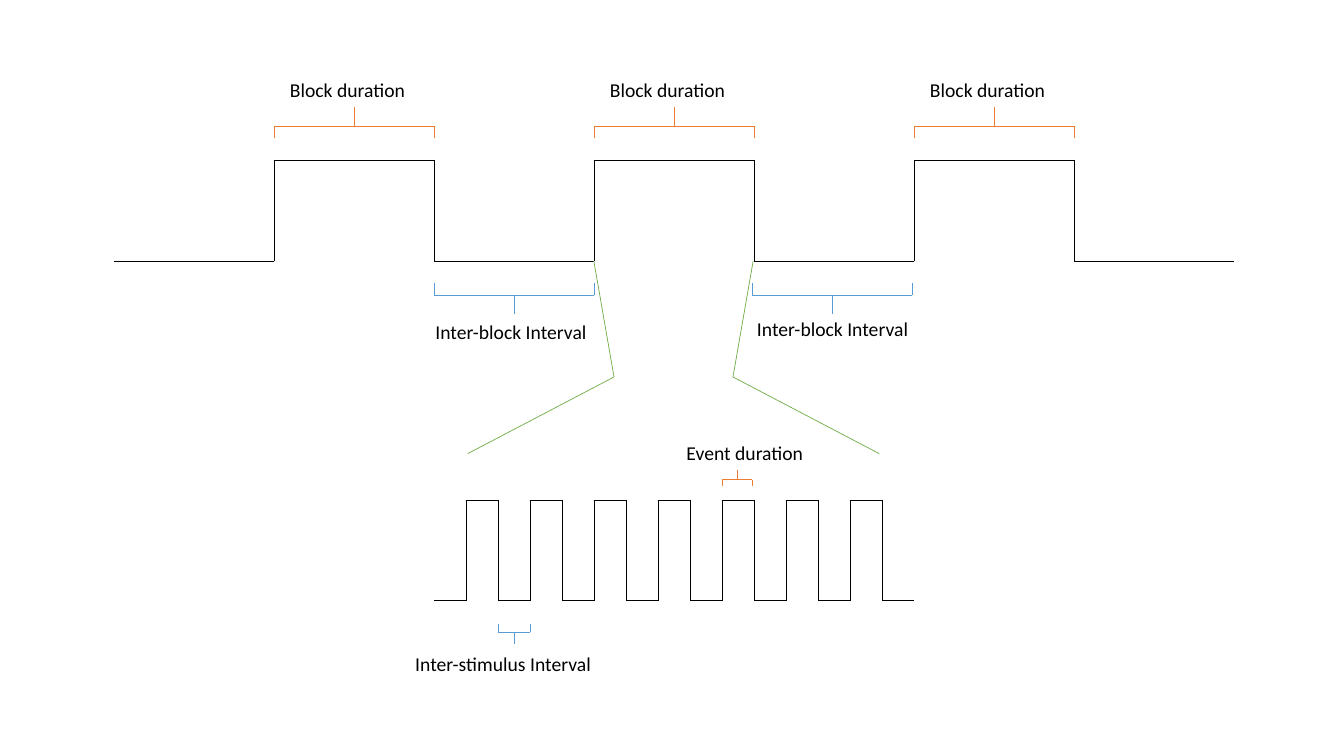
from itertools import pairwise

from lxml import etree
from pptx import Presentation
from pptx.dml.color import RGBColor
from pptx.enum.shapes import MSO_CONNECTOR
from pptx.enum.text import MSO_AUTO_SIZE
from pptx.oxml.ns import qn
from pptx.util import Inches, Pt

STRAIGHT = MSO_CONNECTOR.STRAIGHT
GROW = MSO_AUTO_SIZE.SHAPE_TO_FIT_TEXT
BLACK = RGBColor(0x00, 0x00, 0x00)
ORANGE = RGBColor(0xED, 0x7D, 0x31)
BLUE = RGBColor(0x5B, 0x9B, 0xD5)
GREEN = RGBColor(0x70, 0xAD, 0x47)

# Seven block columns; each holds five event columns.
LEFT, RIGHT = 1.13, 12.24
BLOCK = (RIGHT - LEFT) / 7
EVENT = BLOCK / 5
EVENTS_LEFT = LEFT + 2 * BLOCK
BLOCK_LOW, EVENT_LOW, PULSE = 2.59, 5.96, 1.0

deck = Presentation()
deck.slide_width = Inches(13.33)
deck.slide_height = Inches(7.5)
page = deck.slides.add_slide(deck.slide_layouts[6])


def add_lines(segments, colour):
    """Draw a group of thin straight lines, one per pair of points."""
    group = page.shapes.add_group_shape()
    for start, end in segments:
        ends = [Inches(length) for length in (*start, *end)]
        line = group.shapes.add_connector(STRAIGHT, *ends)
        line.line.color.rgb = colour
        line.line.width = Pt(0.5)
        etree.SubElement(line._element.spPr, qn("a:effectLst"))


def add_label(text, left, top, width):
    """Write a left-aligned label."""
    box = page.shapes.add_textbox(Inches(left), Inches(top), Inches(width), Inches(0.34))
    frame = box.text_frame
    frame.word_wrap = True
    frame.auto_size = GROW
    frame.text = text
    font = frame.paragraphs[0].runs[0].font
    font.name, font.size, font.color.rgb = "Calibri", Pt(14), BLACK


# Square waves: odd columns are high, even columns are low
for wave_left, step, columns, low in (
    (LEFT, BLOCK, 7, BLOCK_LOW),
    (EVENTS_LEFT, EVENT, 15, EVENT_LOW),
):
    wave = []
    for column in range(columns):
        level = low - PULSE * (column % 2)
        start = wave_left + column * step
        wave += [(start, level), (start + step, level)]
    add_lines(pairwise(wave), BLACK)

# Brackets: left, width, tip, bar and stem heights, colour; then label text, left, top, width
brackets = [
    (LEFT + column * BLOCK, BLOCK, 1.37, 1.25, 1.06, ORANGE,
     "Block duration", LEFT + column * BLOCK + 0.06, 0.72, 1.46)
    for column in (1, 3, 5)
]
brackets += [
    (EVENTS_LEFT, BLOCK, 2.81, 2.93, 3.12, BLUE, "Inter-block Interval", 4.22, 3.12, 1.87),
    (7.46, BLOCK, 2.81, 2.93, 3.12, BLUE, "Inter-block Interval", 7.41, 3.09, 1.87),
    (EVENTS_LEFT + 2 * EVENT, EVENT, 6.19, 6.27, 6.39, BLUE,
     "Inter-stimulus Interval", 4.02, 6.42, 2.16),
    (EVENTS_LEFT + 9 * EVENT, 0.3, 4.82, 4.76, 4.66, ORANGE, "Event duration", 6.71, 4.33, 1.39),
]
for left, width, tip, bar, stem, colour, *label in brackets:
    right, middle = left + width, left + width / 2
    outline = [(left, tip), (left, bar), (right, bar), (right, tip)]
    add_lines([*pairwise(outline), ((middle, bar), (middle, stem))], colour)
    add_label(*label)

# Zoom lines from the middle block to the event wave, mirrored about its centre
ZOOM_CENTRE = 6.68
for side in (-1, 1):
    zoom = [
        (ZOOM_CENTRE + side * offset, top)
        for offset, top in ((0.79, BLOCK_LOW), (0.59, 3.74), (2.04, 4.5))
    ]
    add_lines(pairwise(zoom), GREEN)

deck.save("out.pptx")
